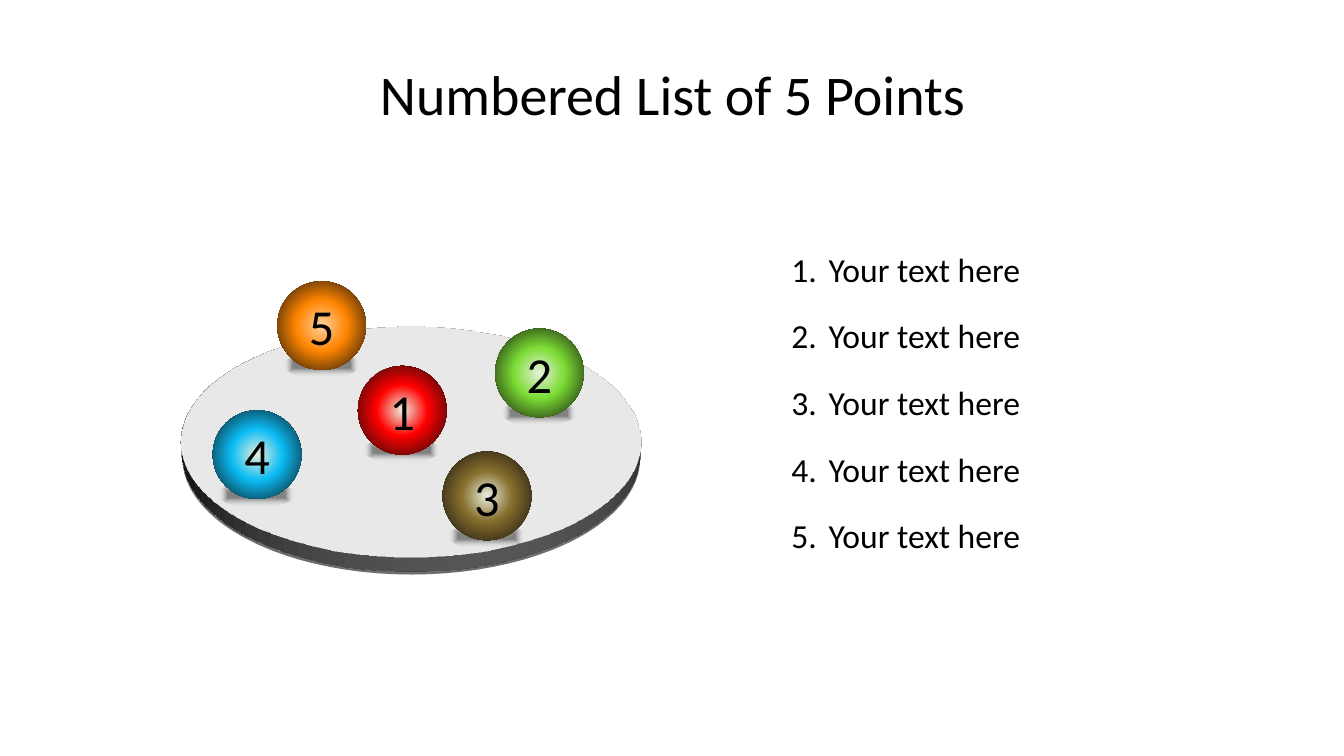
import pptx
import pptx.util
import pptx.oxml
import pptx.dml.color
import pptx.enum.shapes
import pptx.enum.text
from pptx.oxml.ns import nsdecls

Inches = pptx.util.Inches
OVAL = pptx.enum.shapes.MSO_SHAPE.OVAL
ALIGN = pptx.enum.text.PP_ALIGN
MIDDLE = pptx.enum.text.MSO_ANCHOR.MIDDLE

BALLS = [  # number, left, top, centre colour, body colour
    ("5", 2.75, 2.79, "FFD19F", "FF8601"),
    ("2", 4.91, 3.26, "EBF1DE", "7CDC34"),
    ("3", 4.39, 4.48, "EBF1DE", "866E2C"),
    ("1", 3.55, 3.63, "EBF1DE", "FF0000"),
    ("4", 2.11, 4.07, "EBF1DE", "0BBDF5"),
]


def color(code):
    return pptx.dml.color.RGBColor.from_string(code)


def parse(xml):
    """Make an element from XML whose root lacks the a: namespace."""
    head, tail = xml.split(">", 1)
    mark = "/" if head.endswith("/") else ""
    return pptx.oxml.parse_xml(f"{head.rstrip('/')} {nsdecls('a')}{mark}>{tail}")


def write(shape, text, size, align=ALIGN.LEFT):
    frame = shape.text_frame
    frame.word_wrap = True
    para = frame.paragraphs[0]
    para.alignment = align
    run = para.add_run()
    run.text = text
    style = {"name": "Calibri", "size": pptx.util.Pt(size)}
    for key, value in style.items():
        setattr(run.font, key, value)
    run.font.color.rgb = color("000000")
    return para


def oval(shapes, left, top, width, height):
    """Add a plain ellipse with no line and no shadow."""
    shape = shapes.add_shape(OVAL, *map(Inches, (left, top, width, height)))
    shape.line.fill.background()
    shape.shadow.inherit = False
    return shape


def shade(shape, stops, kind):
    """Fill from the centre outwards; stops hold place, colour, opacity."""
    marks = "".join(
        f'<a:gs pos="{place * 1000}"><a:srgbClr val="{code}">'
        f'<a:alpha val="{alpha * 1000}"/></a:srgbClr></a:gs>'
        for place, code, alpha in stops)
    fill = parse(
        f'<a:gradFill rotWithShape="1"><a:gsLst>{marks}</a:gsLst>'
        f'<a:path path="{kind}"><a:fillToRect l="50000" t="50000" '
        'r="50000" b="50000"/></a:path></a:gradFill>')
    shape._element.spPr.insert(2, fill)


def add_disc(slide, left, top, size):
    """Add a round plate tilted back in space."""
    disc = oval(slide.shapes, left, top, size, size)
    disc.fill.solid()
    disc.fill.fore_color.rgb = color("A6A6A6")
    props = disc._element.spPr
    props.remove(props.find(pptx.oxml.ns.qn("a:effectLst")))
    for xml in (
        '<a:effectLst><a:outerShdw blurRad="39370" dist="22860" dir="5400000" '
        'rotWithShape="0"><a:srgbClr val="000000"><a:alpha val="35000"/>'
        '</a:srgbClr></a:outerShdw></a:effectLst>',
        '<a:scene3d><a:camera prst="perspectiveRelaxed">'
        '<a:rot lat="18000000" lon="0" rev="0"/></a:camera>'
        '<a:lightRig rig="threePt" dir="t"/></a:scene3d>',
        '<a:sp3d extrusionH="139700"/>',
    ):
        props.append(parse(xml))


def add_ball(slide, left, top, number, light, body):
    group = slide.shapes.add_group_shape()
    shadow = oval(group.shapes, left + 0.06, top + 0.71, 0.75, 0.25)
    shade(shadow, [(24, "000000", 44), (100, "FFFFFF", 0)], "shape")
    ball = oval(group.shapes, left, top, 0.88, 0.88)
    shade(ball, [(0, light, 100), (41, body, 100), (100, "0D0D0D", 100)],
          "circle")
    ball.text_frame.vertical_anchor = MIDDLE
    write(ball, number, 36, ALIGN.CENTER)


def add_list(slide, left, top, width, step, count):
    for index in range(count):
        box = slide.shapes.add_textbox(
            *map(Inches, (left, top + index * step, width, 0.5)))
        props = write(box, "Your text here", 24)._p.get_or_add_pPr()
        props.set("marL", str(Inches(0.37)))
        props.set("indent", str(Inches(-0.37)))
        props.append(parse('<a:buFont typeface="+mj-lt"/>'))
        props.append(parse(
            f'<a:buAutoNum type="arabicPeriod" startAt="{index + 1}"/>'))


def add_title(slide, left, top, width, height):
    box = slide.shapes.add_textbox(*map(Inches, (left, top, width, height)))
    box.text_frame.vertical_anchor = MIDDLE
    write(box, "Numbered List of 5 Points", 40, ALIGN.CENTER)


def main():
    deck = pptx.Presentation()
    deck.slide_width, deck.slide_height = Inches(13.33), Inches(7.5)
    slide = deck.slides.add_slide(deck.slide_layouts[6])
    add_disc(slide, 1.83, 1.99, 4.5)
    for number, left, top, light, body in BALLS:
        add_ball(slide, left, top, number, light, body)
    add_list(slide, 7.75, 2.42, 3.58, 0.66, len(BALLS))
    add_title(slide, 0.67, 0.3, 12, 1.25)
    deck.save("out.pptx")


if __name__ == "__main__":
    main()
